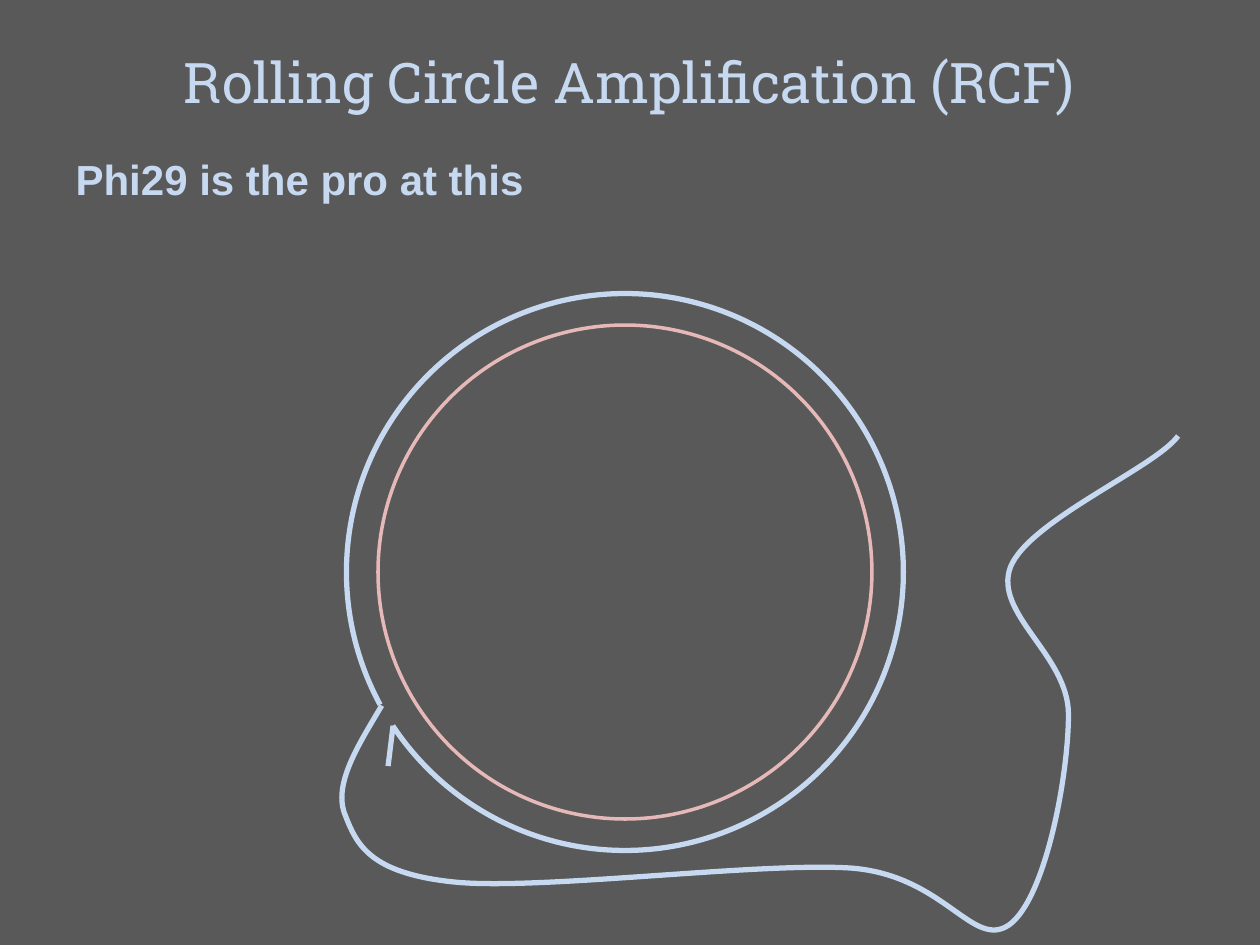
from lxml import etree
from pptx import Presentation
from pptx.dml.color import RGBColor
from pptx.enum.shapes import MSO_CONNECTOR, MSO_SHAPE
from pptx.enum.text import MSO_ANCHOR, MSO_AUTO_SIZE, PP_ALIGN
from pptx.oxml.ns import qn
from pptx.util import Emu, Pt

PX = 9144
GREY = RGBColor(0x59, 0x59, 0x59)
PALE_BLUE = RGBColor(0xC6, 0xD9, 0xF1)
PINK = RGBColor(0xE6, 0xB9, 0xB8)

OVAL, ARC = MSO_SHAPE.OVAL, MSO_SHAPE.ARC
STRAIGHT = MSO_CONNECTOR.STRAIGHT
TOP = MSO_ANCHOR.TOP
GROW = MSO_AUTO_SIZE.SHAPE_TO_FIT_TEXT
LEFT, CENTER = PP_ALIGN.LEFT, PP_ALIGN.CENTER

ARC_UNITS_PER_DEGREE = 0.6
STRAND_START, STRAND_END = 151.55, 146.49
TAIL_START = (39, 327)
TAIL_CURVES = [
    [(20, 359), (0, 390), (10, 414)],
    [(19, 437), (29, 460), (96, 467)],
    [(163, 474), (339, 451), (412, 456)],
    [(486, 462), (508, 521), (537, 501)],
    [(566, 480), (584, 382), (584, 334)],
    [(584, 287), (524, 254), (538, 217)],
    [(553, 180), (653, 138), (671, 113)],
]


def px(*lengths):
    return [Emu(length * PX) for length in lengths]


def fill_placeholder(holder, box, wording, font_name, size, bold, align):
    holder.left, holder.top, holder.width, holder.height = px(*box)
    frame = holder.text_frame
    frame.word_wrap = True
    frame.auto_size = GROW
    frame.vertical_anchor = TOP
    paragraph = frame.paragraphs[0]
    properties = paragraph._p.get_or_add_pPr()
    properties.set("marL", "0")
    properties.set("indent", "0")
    etree.SubElement(properties, qn("a:buNone"))
    paragraph.alignment = align
    paragraph.space_before = Pt(0)
    run = paragraph.add_run()
    run.text = wording
    run.font.name = font_name
    run.font.size = Pt(size)
    run.font.bold = bold
    run.font.color.rgb = PALE_BLUE


def style_outline(outline, color, width):
    outline.shadow.inherit = False
    outline.fill.background()
    outline.line.color.rgb = color
    outline.line.width = Pt(width)


def add_tail(shapes, left, top):
    points = [(left + x, top + y) for curve in TAIL_CURVES for x, y in curve]
    builder = shapes.build_freeform(left + TAIL_START[0], top + TAIL_START[1], scale=PX)
    builder.add_line_segments(points, close=False)
    tail = builder.convert_to_shape()
    segments = list(tail._element.iter(qn("a:lnTo")))
    path_element = segments[0].getparent()
    for first in range(0, len(segments), 3):
        curve = etree.SubElement(path_element, qn("a:cubicBezTo"))
        for segment in segments[first:first + 3]:
            curve.append(segment[0])
            path_element.remove(segment)
    style_outline(tail, PALE_BLUE, 3)


def add_rolling_circle(shapes, left, top):
    template = shapes.add_shape(OVAL, *px(left + 36, top + 25, 392, 392))
    style_outline(template, PINK, 2)

    strand = shapes.add_shape(ARC, *px(left + 11, top, 442, 442))
    strand.adjustments[0] = STRAND_START * ARC_UNITS_PER_DEGREE
    strand.adjustments[1] = STRAND_END * ARC_UNITS_PER_DEGREE
    style_outline(strand, PALE_BLUE, 3)

    add_tail(shapes, left, top)

    barb = shapes.add_connector(
        STRAIGHT, *px(left + 48, top + 343, left + 44, top + 375))
    etree.SubElement(barb._element.spPr, qn("a:effectLst"))
    barb.line.color.rgb = PALE_BLUE
    barb.line.width = Pt(3)


def main():
    deck = Presentation()
    deck.slide_width, deck.slide_height = px(1000, 750)
    slide = deck.slides.add_slide(deck.slide_layouts[1])
    slide.background.fill.solid()
    slide.background.fill.fore_color.rgb = GREY
    fill_placeholder(slide.shapes.title, (0, 33, 1000, 64),
                     "Rolling Circle Amplification (RCF)", "Roboto Slab", 32, False, CENTER)
    fill_placeholder(slide.placeholders[1], (50, 117, 867, 50),
                     "Phi29 is the pro at this", "Arial", 24, True, LEFT)
    add_rolling_circle(slide.shapes, 264, 233)
    deck.save("out.pptx")


if __name__ == "__main__":
    main()
